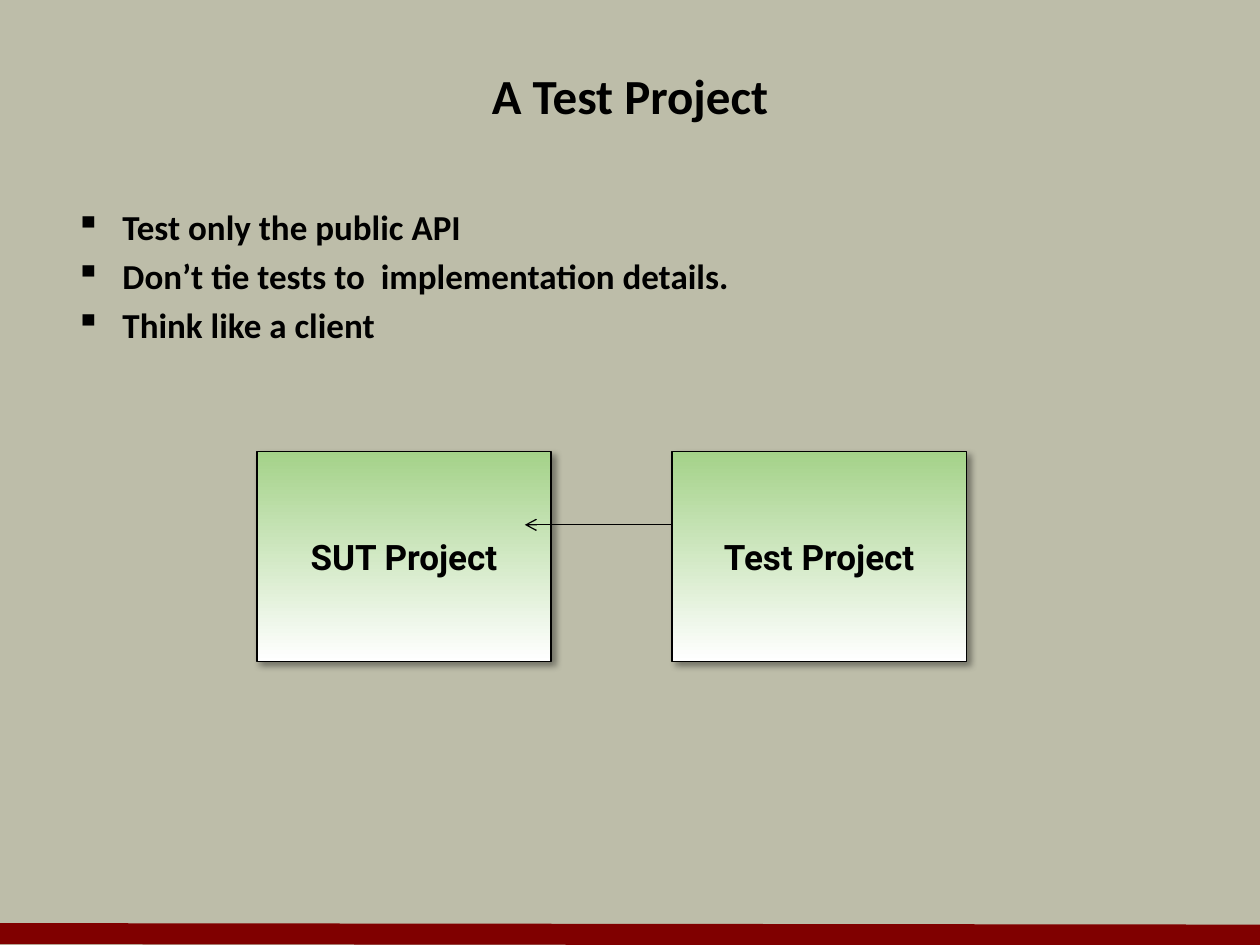
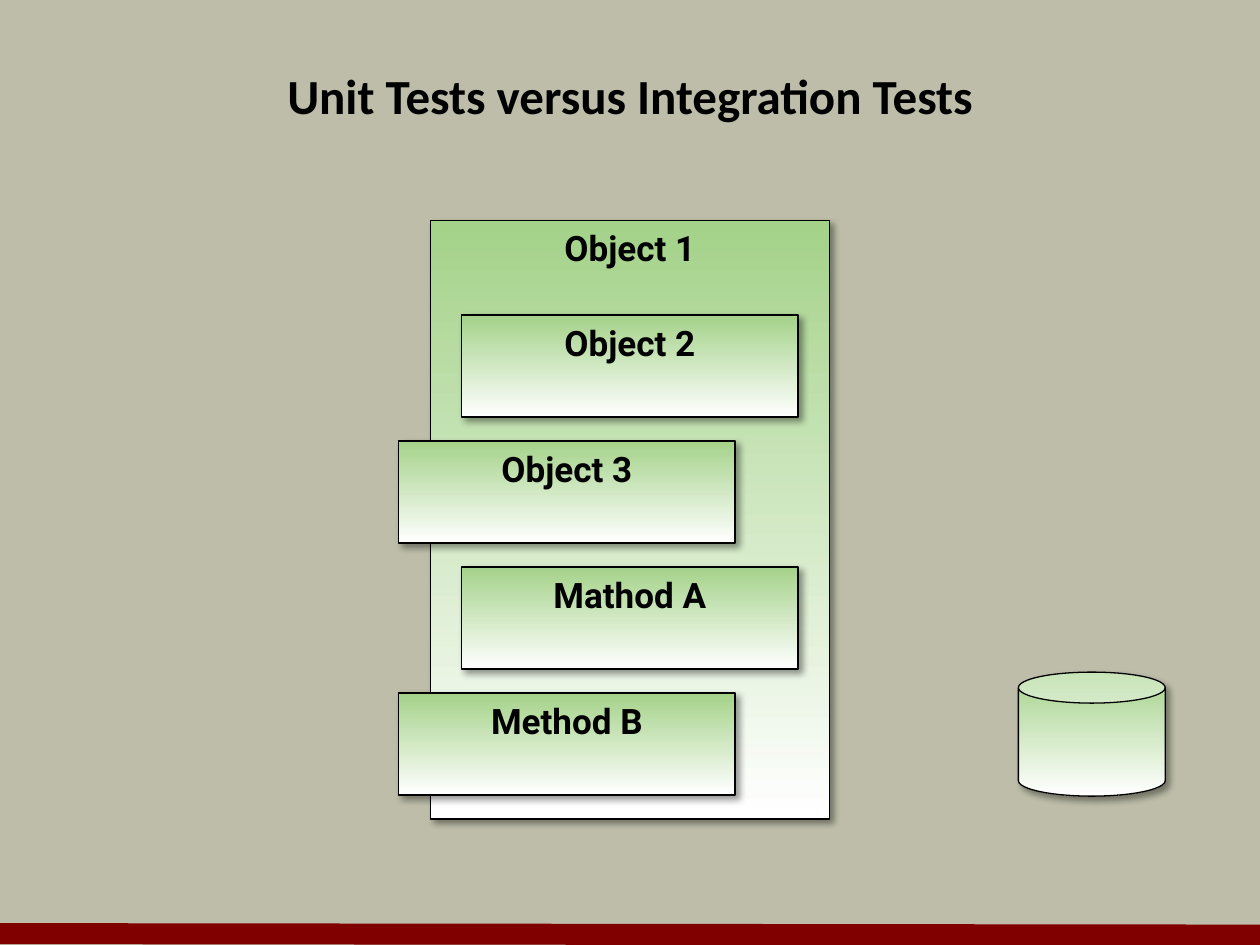
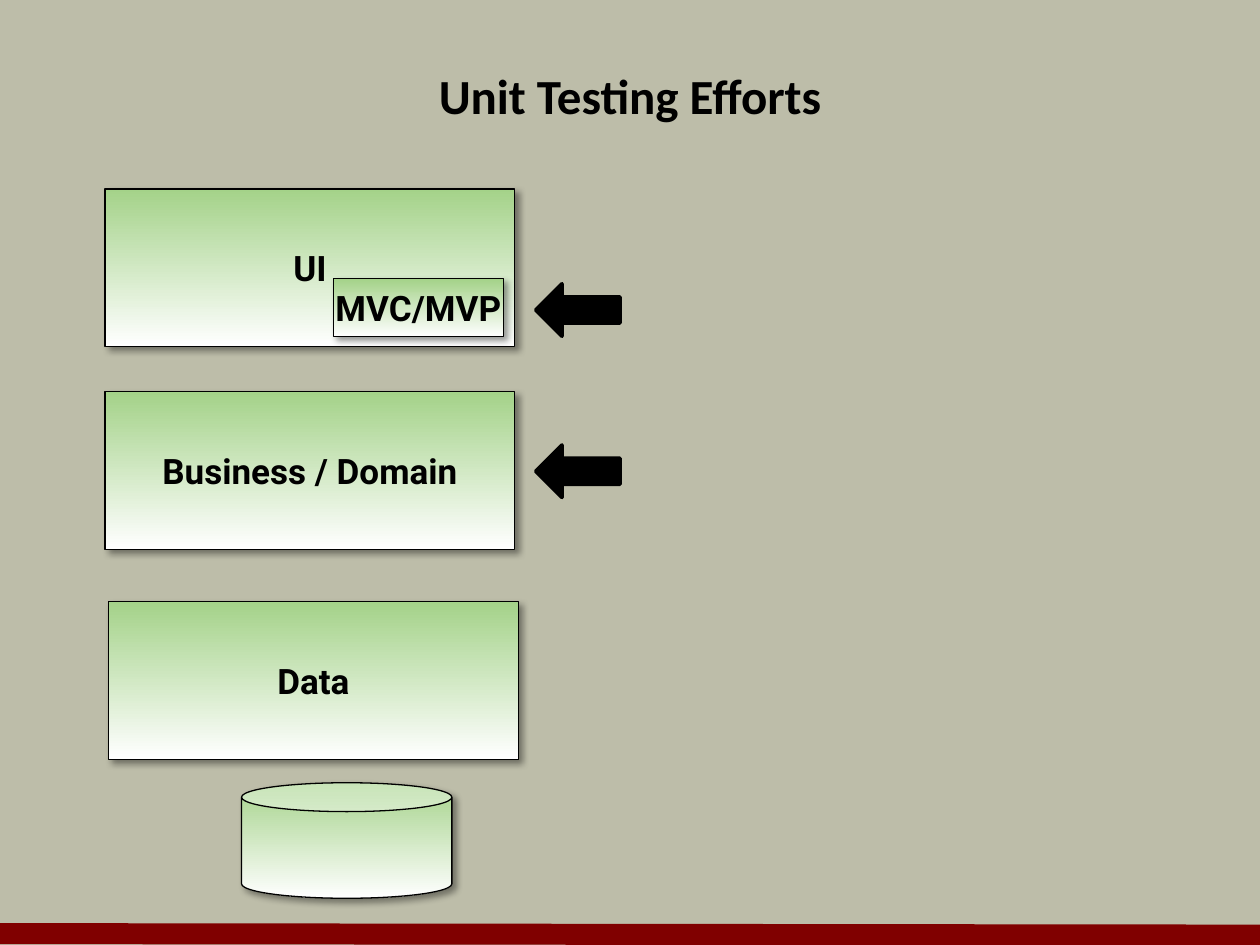
from lxml import etree
from pptx import Presentation
from pptx.dml.color import RGBColor
from pptx.enum.shapes import MSO_CONNECTOR, MSO_SHAPE
from pptx.enum.text import MSO_ANCHOR, PP_ALIGN
from pptx.oxml.ns import qn
from pptx.util import Cm, Pt

RECT, CAN, ARROW = MSO_SHAPE.RECTANGLE, MSO_SHAPE.CAN, MSO_SHAPE.LEFT_ARROW
STRAIGHT = MSO_CONNECTOR.STRAIGHT
TOP, MIDDLE = MSO_ANCHOR.TOP, MSO_ANCHOR.MIDDLE
LEFT, CENTER = PP_ALIGN.LEFT, PP_ALIGN.CENTER


class Theme:
    back = RGBColor.from_string("BDBDA9")
    band = RGBColor.from_string("800000")
    ink = RGBColor.from_string("000000")
    green = RGBColor.from_string("A4D289")
    white = RGBColor.from_string("FFFFFF")
    text_font, box_font = "Calibri", "Roboto"
    title_size, body_size = Pt(28), Pt(20)
    thin, thick, band_line = Pt(0.75), Pt(2), Pt(12)


def write(frame, words, font, size, anchor=MIDDLE, align=CENTER):
    frame.text = words
    frame.vertical_anchor = anchor
    for para in frame.paragraphs:
        para.alignment = align
        for run in para.runs:
            run.font.name, run.font.size = font, size
            run.font.bold = True
            run.font.color.rgb = Theme.ink


def panel(slide, form, box, words="", anchor=MIDDLE):
    """Add a shape with the green gradient, a thin outline and a soft shadow."""
    shape = slide.shapes.add_shape(form, *map(Cm, box))
    shape.fill.gradient()
    shape.fill.gradient_angle = 270
    for stop, color in zip(shape.fill.gradient_stops, (Theme.green, Theme.white)):
        stop.color.rgb = color
    shape.line.color.rgb = Theme.ink
    shape.line.width = Theme.thin
    shape.shadow.inherit = False
    effects = shape._element.spPr.find(qn("a:effectLst"))
    shade = etree.SubElement(effects, qn("a:outerShdw"), blurRad=str(Pt(4)),
                             dist=str(Pt(3)), dir="2700000", algn="tl", rotWithShape="0")
    tint = etree.SubElement(shade, qn("a:srgbClr"), val=str(Theme.ink))
    etree.SubElement(tint, qn("a:alpha"), val="40000")
    if words:
        write(shape.text_frame, words, Theme.box_font, Theme.body_size, anchor)
        shape.text_frame.word_wrap = False


deck = Presentation()
deck.slide_width, deck.slide_height = Cm(25.4), Cm(19.05)
back = deck.slide_master.background.fill
back.solid()
back.fore_color.rgb = Theme.back

# Shared title and band
titles = ["A Test Project", "Unit Tests versus Integration Tests", "Unit Testing Efforts"]
slides = []
for title in titles:
    slide = deck.slides.add_slide(deck.slide_layouts[6])
    band = slide.shapes.add_connector(STRAIGHT, 0, Cm(18.82), deck.slide_width, Cm(18.85))
    band.line.color.rgb = Theme.band
    band.line.width = Theme.band_line
    etree.SubElement(band._element.spPr, qn("a:effectLst"))
    head = slide.shapes.add_textbox(Cm(1.27), Cm(0.85), Cm(22.86), Cm(2.12)).text_frame
    head.word_wrap = True
    write(head, title, Theme.text_font, Theme.title_size)
    slides.append(slide)
project, scope, effort = slides

# A Test Project
points = ["Test only the public API",
          "Don’t tie tests to  implementation details.",
          "Think like a client"]
body = project.shapes.add_textbox(Cm(1.27), Cm(4.02), Cm(22.86), Cm(12.5)).text_frame
body.word_wrap = True
write(body, "\n".join(points), Theme.text_font, Theme.body_size, TOP, LEFT)
for row, para in enumerate(body.paragraphs):
    props = para._p.get_or_add_pPr()
    props.set("marL", str(Cm(0.95)))
    props.set("indent", str(Cm(-0.95)))
    etree.SubElement(props, qn("a:buChar"), char="▪")
    para.space_before = Pt(4 if row else 0)

for left, words in ((5.18, "SUT Project"), (13.55, "Test Project")):
    panel(project, RECT, (left, 9.1, 5.93, 4.23), words)
link = project.shapes.add_connector(STRAIGHT, Cm(13.55), Cm(10.58), Cm(10.58), Cm(10.58))
link.line.color.rgb = Theme.ink
link.line.width = Theme.thin
etree.SubElement(link.line._get_or_add_ln(), qn("a:tailEnd"), type="arrow")
etree.SubElement(link._element.spPr, qn("a:effectLst"))

# Unit Tests versus Integration Tests
panel(scope, RECT, (8.68, 4.45, 8.04, 12.06), "Object 1", TOP)
parts = ["Object 2", "Object 3", "Mathod A", "Method B"]
for row, words in enumerate(parts):
    left = 8.04 if row % 2 else 9.31
    panel(scope, RECT, (left, 6.35 + 2.54 * row, 6.78, 2.06), words, TOP)
panel(scope, CAN, (20.53, 13.55, 2.96, 2.5))

# Unit Testing Efforts
layers = [(2.12, 3.81, "UI"), (2.12, 7.9, "Business / Domain"), (2.19, 12.13, "Data")]
for left, top, words in layers:
    panel(effort, RECT, (left, top, 8.26, 3.18), words)
panel(effort, CAN, (4.87, 15.78, 4.24, 2.33))
panel(effort, RECT, (6.72, 5.62, 3.43, 1.17), "MVC/MVP")
for top in (8.97, 5.72):
    arrow = effort.shapes.add_shape(ARROW, Cm(10.8), Cm(top), Cm(1.7), Cm(1.06))
    arrow.fill.solid()
    arrow.fill.fore_color.rgb = Theme.ink
    arrow.line.color.rgb = Theme.ink
    arrow.line.width = Theme.thick
    arrow.shadow.inherit = False

deck.save("out.pptx")
